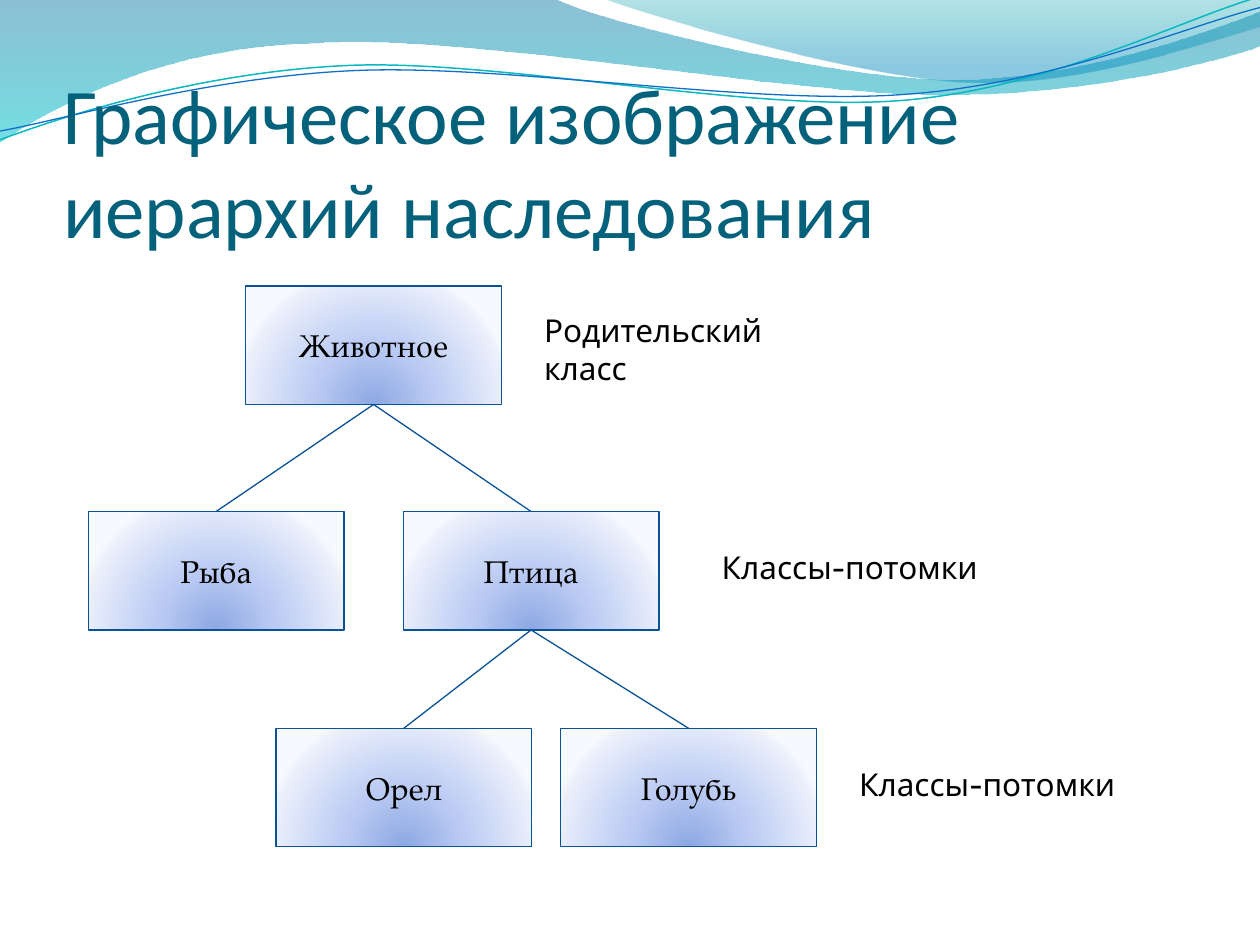
from lxml import etree
from pptx import Presentation
from pptx.dml.color import RGBColor
from pptx.enum.shapes import MSO_CONNECTOR, MSO_SHAPE
from pptx.enum.text import MSO_ANCHOR, MSO_AUTO_SIZE, PP_ALIGN
from pptx.oxml.ns import qn
from pptx.util import Inches, Pt

RECTANGLE = MSO_SHAPE.RECTANGLE
STRAIGHT = MSO_CONNECTOR.STRAIGHT
MIDDLE, BOTTOM = MSO_ANCHOR.MIDDLE, MSO_ANCHOR.BOTTOM
CENTER, LEFT = PP_ALIGN.CENTER, PP_ALIGN.LEFT
FIXED, GROW = MSO_AUTO_SIZE.NONE, MSO_AUTO_SIZE.SHAPE_TO_FIT_TEXT
TITLE_ONLY = 5
BOTTOM_SITE, TOP_SITE = 2, 0

BOX_WIDTH, BOX_HEIGHT = 2.03, 0.94
ROW_TOPS = (2.27, 4.06, 5.78)

CLASSES = {
    "Животное": (1.95, 0, None),
    "Рыба": (0.7, 1, "Животное"),
    "Птица": (3.2, 1, "Животное"),
    "Орел": (2.19, 2, "Птица"),
    "Голубь": (4.45, 2, "Птица"),
}
LABELS = (
    ("Родительский класс", 4.22, 2.42),
    ("Классы-потомки", 5.63, 4.3),
    ("Классы-потомки", 6.72, 6.02),
)
BOX_STOPS = ((0, "8DA8E3", 100), (43, "BBCBF3", 100), (93, "EAEFFB", 100), (100, "F7F9FF", 100))

LEFT_WAVE = (
    (0, 0), (4.4, -0.01), (4.76, 0.17, 6.64, 0.63, 7.58, 0.63),
    (8.53, 0.63, 9.58, 0.26, 10, 0.09), (10.01, 0.36),
    (9.83, 0.44, 8.7, 0.76, 7.46, 0.75), (6.22, 0.75, 3.82, 0.28, 2.57, 0.34),
    (1.29, 0.36, 0.46, 0.83, -0.01, 1.13),
)
RIGHT_WAVE = (
    (4.79, -0.01), (5.09, 0.11, 6.82, 0.62, 7.69, 0.65),
    (8.56, 0.69, 9.61, 0.32, 10, 0.21), (10, 0),
)
TEAL_CURVE = (
    (0, 1.11), (0.48, 0.93, 1.58, 0.57, 2.77, 0.52),
    (3.95, 0.47, 5.93, 0.89, 7.13, 0.8), (8.33, 0.71, 9.38, 0.15, 9.98, -0.02),
)
BLUE_CURVE = (
    (0, 1.04), (0.47, 0.96, 1.64, 0.61, 2.83, 0.56),
    (4.03, 0.51, 5.97, 0.84, 7.17, 0.75), (8.36, 0.67, 9.41, 0.21, 10, 0.06),
)


def color(value):
    """Turn a hex string into a colour."""
    return RGBColor.from_string(value)


def write(frame, text, *, font, size, tint, align=LEFT):
    """Write one formatted paragraph into a text frame."""
    frame.word_wrap = True
    para = frame.paragraphs[0]
    para.alignment = align
    span = para.add_run()
    span.text = text
    span.font.name = font
    span.font.size = Pt(size)
    span.font.color.rgb = color(tint)


def bend(shape, segments):
    """Turn the straight steps of a freeform into cubic curves where asked."""
    steps = list(shape._element.iter(qn("a:lnTo")))
    for step, segment in zip(steps, segments[1:]):
        if len(segment) == 2:
            continue
        cubic = etree.Element(qn("a:cubicBezTo"))
        for x, y in zip(segment[::2], segment[1::2]):
            etree.SubElement(cubic, qn("a:pt"), x=str(Inches(x) - shape.left),
                             y=str(Inches(y) - shape.top))
        step.getparent().replace(step, cubic)


def fill_gradient(shape, stops, radial=False):
    """Fill a shape with a downward or radial gradient."""
    shape.fill.gradient()
    gradient = shape._element.spPr.find(qn("a:gradFill"))
    for child in list(gradient):
        gradient.remove(child)
    stop_list = etree.SubElement(gradient, qn("a:gsLst"))
    for position, tint, opacity in stops:
        stop = etree.SubElement(stop_list, qn("a:gs"), pos=str(position * 1000))
        tone = etree.SubElement(stop, qn("a:srgbClr"), val=tint)
        if opacity < 100:
            etree.SubElement(tone, qn("a:alpha"), val=str(opacity * 1000))
    if radial:
        circle = etree.SubElement(gradient, qn("a:path"), path="circle")
        etree.SubElement(circle, qn("a:fillToRect"), l="50000", t="130000", r="50000", b="-30000")
    else:
        etree.SubElement(gradient, qn("a:lin"), ang="5400000", scaled="0")


class HierarchySlide:
    """Hold the style and the current slide."""

    title_font, box_font, label_font = "Calibri", "TeX Gyre Pagella", "Cabin"
    title_color, text_color, line_color = "04617B", "000000", "095295"
    text_size, line_width = 18, 0.75

    def __init__(self, deck):
        """Add a title-only page to the deck."""
        self.page = deck.slides.add_slide(deck.slide_layouts[TITLE_ONLY])
        self.shapes = self.page.shapes

    def outline(self, segments, close):
        """Draw a freeform through the segments."""
        points = [(Inches(segment[-2]), Inches(segment[-1])) for segment in segments]
        builder = self.shapes.build_freeform(*points[0])
        builder.add_line_segments(points[1:], close=close)
        shape = builder.convert_to_shape()
        bend(shape, segments)
        shape.shadow.inherit = False
        return shape

    def wave(self, segments, stops):
        """Draw a filled wave without a border."""
        shape = self.outline(segments, True)
        fill_gradient(shape, stops)
        shape.line.fill.background()

    def curve(self, segments, tint, width):
        """Draw an open curved line."""
        shape = self.outline(segments, False)
        shape.fill.background()
        shape.line.color.rgb = color(tint)
        shape.line.width = Pt(width)

    def title(self, text):
        """Place the title in front of the waves."""
        title = self.shapes.title
        title.left, title.top = Inches(0.5), Inches(0.77)
        title.width, title.height = Inches(9.08), Inches(1.25)
        frame = title.text_frame
        frame.auto_size = FIXED
        frame.vertical_anchor = BOTTOM
        frame.margin_left = frame.margin_right = frame.margin_bottom = 0
        write(frame, text, font=self.title_font, size=45, tint=self.title_color)
        self.shapes._spTree.append(title._element)

    def box(self, text, left, top):
        """Draw a class box."""
        box = self.shapes.add_shape(
            RECTANGLE, Inches(left), Inches(top), Inches(BOX_WIDTH), Inches(BOX_HEIGHT))
        box.shadow.inherit = False
        fill_gradient(box, BOX_STOPS, radial=True)
        box.line.color.rgb = color(self.line_color)
        box.line.width = Pt(self.line_width)
        box.text_frame.vertical_anchor = MIDDLE
        write(box.text_frame, text, font=self.box_font, size=self.text_size,
              tint=self.text_color, align=CENTER)
        return box

    def link(self, parent, child):
        """Join a parent box to a child box."""
        link = self.shapes.add_connector(STRAIGHT, 0, 0, 0, 0)
        link.begin_connect(parent, BOTTOM_SITE)
        link.end_connect(child, TOP_SITE)
        link.line.color.rgb = color(self.line_color)
        link.line.width = Pt(self.line_width)
        etree.SubElement(link._element.spPr, qn("a:effectLst"))

    def label(self, text, left, top):
        """Place a label beside a row."""
        label = self.shapes.add_textbox(Inches(left), Inches(top), Inches(2.5), Inches(0.4))
        label.text_frame.auto_size = GROW
        write(label.text_frame, text, font=self.label_font, size=self.text_size,
              tint=self.text_color)


def main():
    """Build and save the deck."""
    deck = Presentation()
    deck.slide_width, deck.slide_height = Inches(10), Inches(7.5)
    slide = HierarchySlide(deck)
    slide.wave(LEFT_WAVE, ((0, "0074A1", 45), (100, "00C6CF", 55)))
    slide.wave(RIGHT_WAVE, ((0, "00A1A9", 30), (80, "008BBF", 45)))
    slide.curve(TEAL_CURVE, "0AB8BF", 0.85)
    slide.curve(BLUE_CURVE, "0F6FC6", 0.75)
    slide.title("Графическое изображение иерархий наследования")
    boxes = {}
    for name, (left, row, parent) in CLASSES.items():
        boxes[name] = slide.box(name, left, ROW_TOPS[row])
        if parent:
            slide.link(boxes[parent], boxes[name])
    for text, left, top in LABELS:
        slide.label(text, left, top)
    deck.save("out.pptx")


if __name__ == "__main__":
    main()
